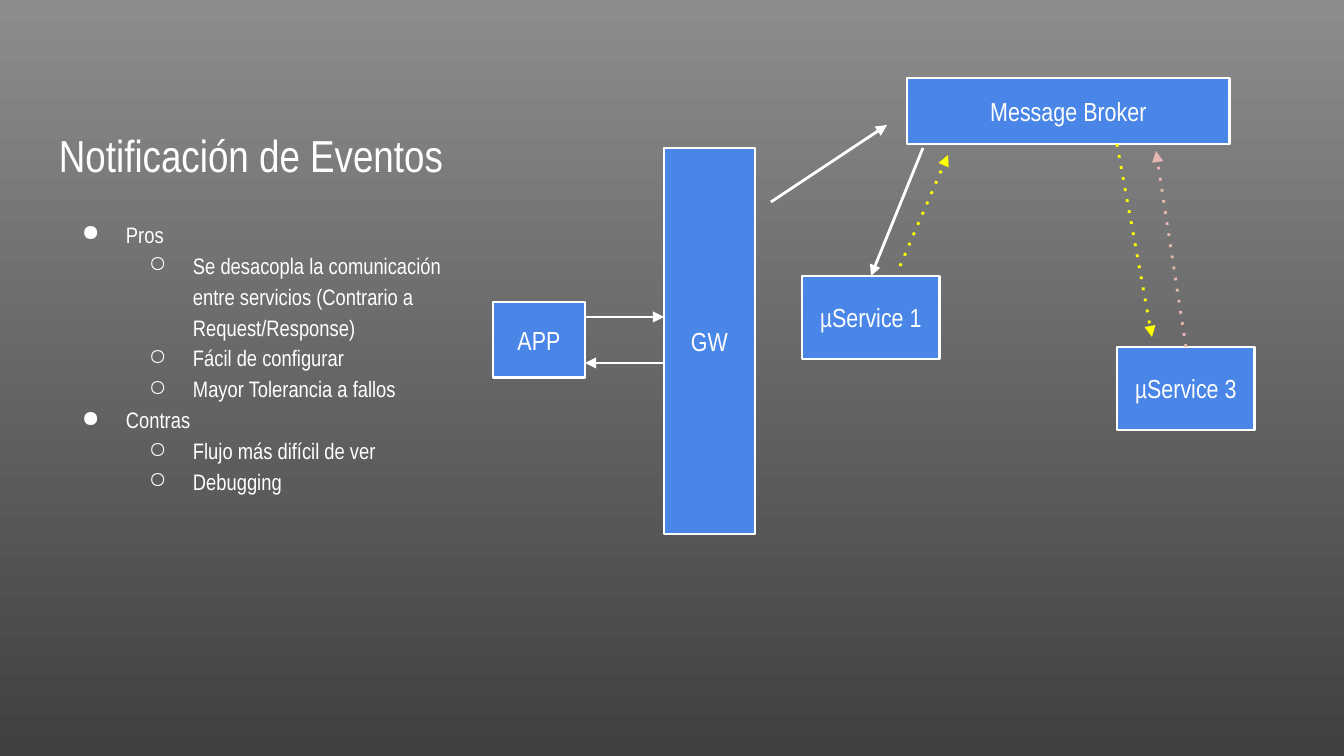
"""Builds the slide on event notification between an app, a gateway and its services."""
import pptx
import pptx.dml.color
import pptx.enum.shapes
import pptx.enum.text
import pptx.oxml
import pptx.oxml.ns
import pptx.util

COLORS = {
    "white": "FFFFFF",
    "blue": "4A86E8",
    "yellow": "FFFF00",
    "pink": "E6B8AF",
    "top": "8C8C8C",
    "bottom": "404040",
}
FONT = "Arial Narrow"
WIDTH, HEIGHT = 1344, 756
INSET = 13
TOP = 0

BULLETS = [
    (0, "Pros"),
    (1, "Se desacopla la comunicación entre servicios (Contrario a Request/Response)"),
    (1, "Fácil de configurar"),
    (1, "Mayor Tolerancia a fallos"),
    (0, "Contras"),
    (1, "Flujo más difícil de ver"),
    (1, "Debugging"),
]


def px(length):
    return pptx.util.Emu(round(length * 9144000 / WIDTH))


def rgb(name):
    return pptx.dml.color.RGBColor.from_string(COLORS[name])


def add_xml(parent, tag, **attributes):
    element = pptx.oxml.parse_xml(f"<a:{tag} {pptx.oxml.ns.nsdecls('a')}/>")
    for name, value in attributes.items():
        element.set(name, str(value))
    parent.append(element)
    return element


def write(paragraph, text, size=12, color="white", align=None, spacing=None):
    paragraph.alignment = align
    paragraph.line_spacing = spacing
    run = paragraph.add_run()
    run.text = text
    run.font.name = FONT
    run.font.size = pptx.util.Pt(size)
    run.font.color.rgb = rgb(color)


class Board:
    """Holds the style and the current slide."""

    def __init__(self, slide):
        self.shapes = slide.shapes
        self.line_width = pptx.util.Pt(1.5)
        fill = slide.background.fill
        fill.gradient()
        fill.gradient_angle = 270
        for stop, name in zip(fill.gradient_stops, ("top", "bottom")):
            stop.color.rgb = rgb(name)

    def frame(self, shape, anchor):
        frame = shape.text_frame
        frame.word_wrap = True
        frame.vertical_anchor = anchor
        frame.margin_left = frame.margin_right = px(INSET)
        frame.margin_top = frame.margin_bottom = px(INSET)
        return frame

    def text_box(self, area, anchor):
        return self.frame(self.shapes.add_textbox(*map(px, area)), anchor)

    def title(self, text, area):
        frame = self.text_box(area, pptx.enum.text.MSO_ANCHOR.BOTTOM)
        write(frame.paragraphs[0], text, size=24)

    def bullets(self, items, area):
        frame = self.text_box(area, pptx.enum.text.MSO_ANCHOR.TOP)
        for index, (level, text) in enumerate(items):
            paragraph = frame.add_paragraph() if index else frame.paragraphs[0]
            paragraph.level = level
            write(paragraph, text, spacing=1.15)
            properties = paragraph._p.get_or_add_pPr()
            properties.set("marL", str(px(67 * (level + 1))))
            properties.set("indent", str(px(-44)))
            color = add_xml(properties, "buClr")
            add_xml(color, "srgbClr", val=COLORS["white"])
            add_xml(properties, "buChar", char="●○"[level])

    def box(self, text, area):
        kind = pptx.enum.shapes.MSO_SHAPE.RECTANGLE
        shape = self.shapes.add_shape(kind, *map(px, area))
        shape.shadow.inherit = False
        shape.fill.solid()
        shape.fill.fore_color.rgb = rgb("blue")
        shape.line.color.rgb = rgb("white")
        shape.line.width = self.line_width
        frame = self.frame(shape, pptx.enum.text.MSO_ANCHOR.MIDDLE)
        write(frame.paragraphs[0], text, size=14, align=pptx.enum.text.PP_ALIGN.CENTER)
        return shape

    def arrow(self, start, end, color="white", dotted=False, source=None, target=None):
        kind = pptx.enum.shapes.MSO_CONNECTOR.STRAIGHT
        connector = self.shapes.add_connector(kind, *map(px, start + end))
        if source is not None:
            connector.begin_connect(source, TOP)
        if target is not None:
            connector.end_connect(target, TOP)
        connector.line.color.rgb = rgb(color)
        connector.line.width = self.line_width
        line = connector.get_or_add_ln()
        if dotted:
            add_xml(line, "prstDash", val="dot")
        add_xml(line, "tailEnd", type="triangle")
        add_xml(connector._element.spPr, "effectLst")


def main():
    presentation = pptx.Presentation()
    presentation.slide_width, presentation.slide_height = px(WIDTH), px(HEIGHT)
    board = Board(presentation.slides.add_slide(presentation.slide_layouts[6]))

    board.title("Notificación de Eventos", (46, 82, 413, 112))
    board.bullets(BULLETS, (46, 204, 413, 468))

    board.box("APP", (493, 302, 92, 76))
    board.box("GW", (664, 148, 91, 386))
    board.box("Message Broker", (907, 78, 323, 66))
    service_1 = board.box("µService 1", (802, 276, 138, 83))
    service_3 = board.box("µService 3", (1117, 347, 138, 83))

    board.arrow((585, 317), (664, 317))
    board.arrow((664, 363), (585, 363))
    board.arrow((771, 202), (887, 125))
    board.arrow((923, 148), (871, 276), target=service_1)
    board.arrow((900, 266), (948, 155), color="yellow", dotted=True)
    board.arrow((1117, 144), (1152, 337), color="yellow", dotted=True)
    board.arrow((1186, 347), (1156, 151), color="pink", dotted=True, source=service_3)

    presentation.save("out.pptx")


if __name__ == "__main__":
    main()
